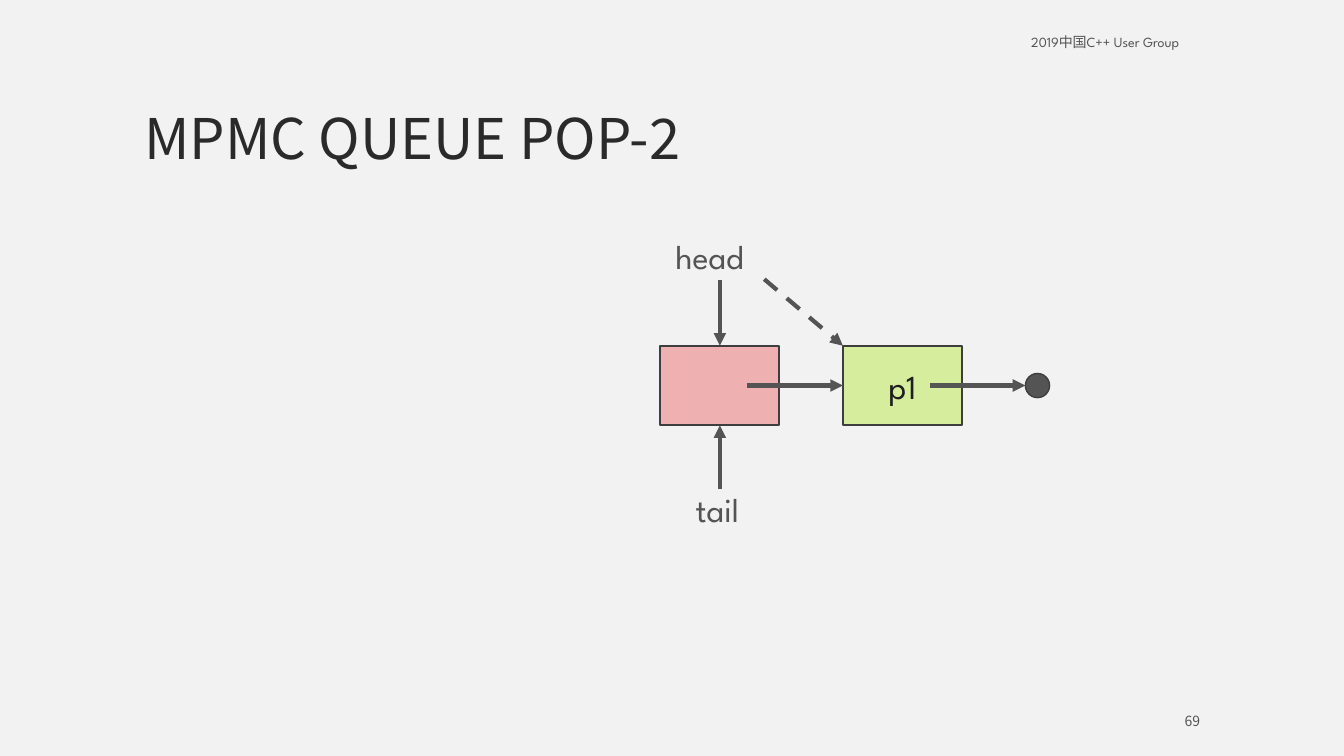
from dataclasses import dataclass
from typing import Optional

from lxml.etree import SubElement
from pptx import Presentation
from pptx.dml.color import RGBColor
from pptx.enum.dml import MSO_LINE_DASH_STYLE as Dash
from pptx.enum.shapes import MSO_CONNECTOR as Connector
from pptx.enum.shapes import MSO_SHAPE as Preset
from pptx.enum.text import MSO_ANCHOR as Anchor
from pptx.enum.text import MSO_AUTO_SIZE as AutoSize
from pptx.enum.text import PP_ALIGN as Align
from pptx.oxml.ns import qn
from pptx.util import Inches, Pt

LATIN_FONT = "League Spartan"
CHINESE_FONT = "Noto Sans CJK SC"
GREY = "545454"
OUTLINE = "3E3E3E"
NODE_WIDTH, NODE_HEIGHT, NODE_TOP = 1.18, 0.79, 3.43
DUMMY_LEFT, P1_LEFT = 6.55, 8.36
POINTER_X = DUMMY_LEFT + NODE_WIDTH / 2
LINK_Y = NODE_TOP + NODE_HEIGHT / 2
END_SIZE, END_LEFT = 0.24, 10.17
TOP_SIDE, LEFT_SIDE, BOTTOM_SIDE = 0, 1, 2


@dataclass(frozen=True)
class Node:
    preset: Preset
    left: float
    top: float
    width: float
    height: float
    fill: str
    line_width: float = 1.5
    text: str = ""


@dataclass(frozen=True)
class Arrow:
    start: tuple[float, float]
    end: tuple[float, float]
    target: Optional[Node] = None
    side: int = 0
    dashed: bool = False


@dataclass(frozen=True)
class Label:
    text: str
    left: float
    top: float
    width: float
    height: float
    size: float = 24
    font: str = LATIN_FONT
    align: Align = Align.LEFT
    anchor: Anchor = Anchor.TOP
    spacing: float = 0.9
    wrap: bool = False


DUMMY = Node(Preset.RECTANGLE, DUMMY_LEFT, NODE_TOP, NODE_WIDTH, NODE_HEIGHT, "EEB0B1")
P1 = Node(Preset.RECTANGLE, P1_LEFT, NODE_TOP, NODE_WIDTH, NODE_HEIGHT, "D7ED9E", text="p1")
END = Node(Preset.OVAL, END_LEFT, LINK_Y - END_SIZE / 2, END_SIZE, END_SIZE, GREY, 1)
ARROWS = [
    Arrow((POINTER_X, 4.85), (POINTER_X, NODE_TOP + NODE_HEIGHT), DUMMY, BOTTOM_SIDE),
    Arrow((POINTER_X, 2.78), (POINTER_X, NODE_TOP), DUMMY, TOP_SIDE),
    Arrow((7.41, LINK_Y), (P1_LEFT, LINK_Y), P1, LEFT_SIDE),
    Arrow((9.22, LINK_Y), (END_LEFT, LINK_Y)),
    Arrow((7.58, 2.77), (P1_LEFT, NODE_TOP), dashed=True),
]
LABELS = [
    Label("2019中国C++ User Group", 10.13, 0.3, 1.87, 0.25, size=10),
    Label("tail", 6.8, 4.85, 0.68, 0.46),
    Label("head", 6.6, 2.34, 1.09, 0.46, wrap=True),
    Label("69", 10.75, 7.05, 1.25, 0.2, size=10, font=CHINESE_FONT,
          align=Align.RIGHT, anchor=Anchor.MIDDLE, spacing=1, wrap=True),
]


def color(value: str) -> RGBColor:
    """Turn a hex string into a colour."""
    return RGBColor.from_string(value)


def write_text(shape, text: str, *, size: float, ink: str = GREY, font: str = LATIN_FONT,
               align: Align = Align.LEFT, anchor: Anchor = Anchor.TOP,
               spacing: float = 1, wrap: bool = True) -> None:
    """Put one formatted line of text into a shape."""
    frame = shape.text_frame
    frame.auto_size = AutoSize.NONE
    frame.word_wrap = wrap
    frame.vertical_anchor = anchor
    paragraph = frame.paragraphs[0]
    paragraph.alignment = align
    paragraph.line_spacing = spacing
    run = paragraph.add_run()
    run.text = text
    run.font.size = Pt(size)
    run.font.name = font
    run.font.color.rgb = color(ink)
    SubElement(run.font._element, qn("a:ea")).set("typeface", CHINESE_FONT)


def add_title(slide, text: str) -> None:
    """Fill and place the title placeholder."""
    title = slide.shapes.title
    title.left, title.top = Inches(1.33), Inches(0.3)
    title.width, title.height = Inches(10.67), Inches(1.45)
    write_text(title, text, size=40, ink="2A2A2A", font=CHINESE_FONT,
               anchor=Anchor.BOTTOM, spacing=0.9)


def add_node(slide, node: Node):
    """Draw a queue node and return its shape."""
    shape = slide.shapes.add_shape(node.preset, Inches(node.left), Inches(node.top),
                                   Inches(node.width), Inches(node.height))
    shape.shadow.inherit = False
    shape.fill.solid()
    shape.fill.fore_color.rgb = color(node.fill)
    shape.line.color.rgb = color(OUTLINE)
    shape.line.width = Pt(node.line_width)
    if node.text:
        write_text(shape, node.text, size=24, ink="1E1E1E",
                   align=Align.CENTER, anchor=Anchor.MIDDLE)
    return shape


def add_arrow(slide, arrow: Arrow, shapes: dict) -> None:
    """Draw an arrow and join it to its target node."""
    points = [Inches(value) for value in (*arrow.start, *arrow.end)]
    connector = slide.shapes.add_connector(Connector.STRAIGHT, *points)
    if arrow.target:
        connector.end_connect(shapes[arrow.target], arrow.side)
    connector.line.color.rgb = color(GREY)
    connector.line.width = Pt(3)
    if arrow.dashed:
        connector.line.dash_style = Dash.DASH
    properties = connector._element.spPr
    SubElement(properties.find(qn("a:ln")), qn("a:tailEnd")).set("type", "triangle")
    SubElement(properties, qn("a:effectLst"))


def add_label(slide, label: Label) -> None:
    """Draw a free-standing text label."""
    box = slide.shapes.add_textbox(Inches(label.left), Inches(label.top),
                                   Inches(label.width), Inches(label.height))
    write_text(box, label.text, size=label.size, font=label.font, align=label.align,
               anchor=label.anchor, spacing=label.spacing, wrap=label.wrap)


def main() -> None:
    """Build the queue slide and save it."""
    presentation = Presentation()
    presentation.slide_width, presentation.slide_height = Inches(13.33), Inches(7.5)
    slide = presentation.slides.add_slide(presentation.slide_layouts[5])
    slide.background.fill.solid()
    slide.background.fill.fore_color.rgb = color("F2F2F2")
    add_title(slide, "MPMC QUEUE POP-2")
    shapes = {node: add_node(slide, node) for node in (DUMMY, P1, END)}
    for arrow in ARROWS:
        add_arrow(slide, arrow, shapes)
    for label in LABELS:
        add_label(slide, label)
    presentation.save("out.pptx")


if __name__ == "__main__":
    main()
